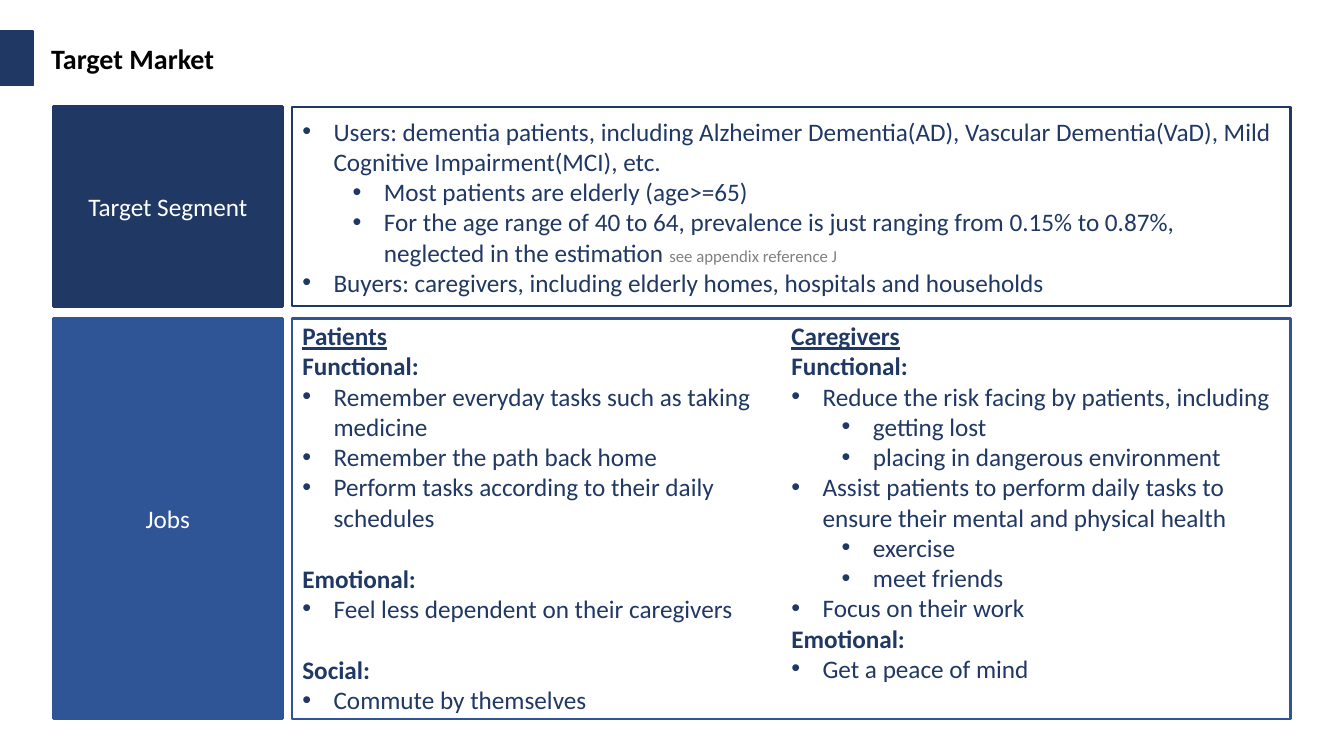
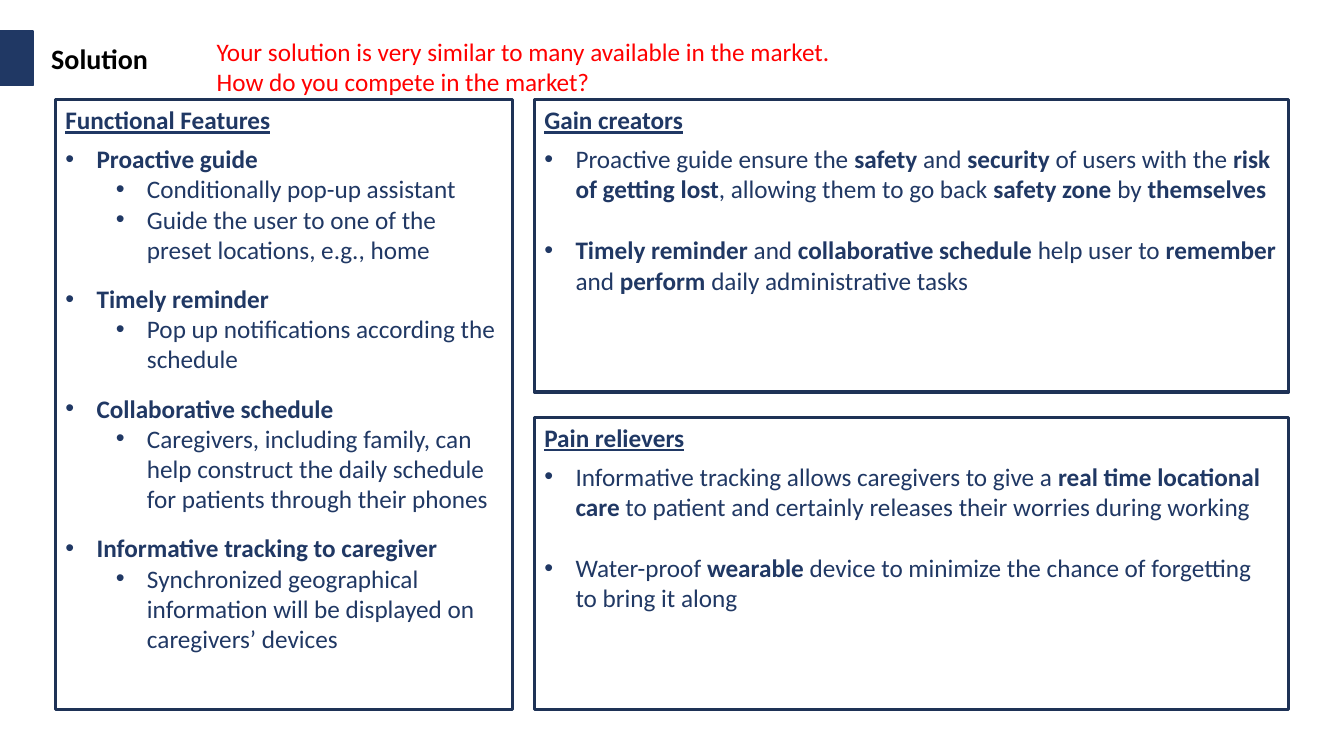
"""Builds two slides on the target market and the solution."""
from dataclasses import dataclass

from lxml import etree
from pptx import Presentation
from pptx import util as u
from pptx.dml.color import RGBColor
from pptx.enum import shapes, text
from pptx.oxml import ns


@dataclass(frozen=True)
class Theme:
    font: str = "Calibri"
    navy: str = "203864"
    blue: str = "2F5597"
    edge: str = "1E3256"
    white: str = "FFFFFF"
    black: str = "000000"
    red: str = "FF0000"
    grey: str = "808080"
    title: int = 20
    body: int = 18
    note: int = 12
    tight: float = 6
    gap: float = 13.5
    line: float = 22


TOP, MID, LOW = text.MSO_ANCHOR.TOP, text.MSO_ANCHOR.MIDDLE, text.MSO_ANCHOR.BOTTOM
HANG = 0.31
INDENT = {"dot": 0.31, "nest": 0.81}


class Deck:
    def __init__(self, theme):
        self.theme = theme
        self.show = Presentation()
        self.show.slide_width = u.Inches(13.33)
        self.show.slide_height = u.Inches(7.5)
        self.slide = None

    def page(self, title):
        self.slide = self.show.slides.add_slide(self.show.slide_layouts[6])
        self.rect((0, 0.31, 0.33, 0.54), self.theme.navy, self.theme.navy, 1)
        self.words((0.41, 0.36, 11, 0.44), title, self.theme.title, self.theme.black, True, MID)

    def rect(self, box, edge, fill=None, width=2.25):
        shape = self.slide.shapes.add_shape(shapes.MSO_SHAPE.RECTANGLE, *map(u.Inches, box))
        shape.shadow.inherit = False
        shape.line.color.rgb = RGBColor.from_string(edge)
        shape.line.width = u.Pt(width)
        if fill:
            shape.fill.solid()
            shape.fill.fore_color.rgb = RGBColor.from_string(fill)
        else:
            shape.fill.background()
        return shape

    def frame(self, box, anchor=TOP):
        frame = self.slide.shapes.add_textbox(*map(u.Inches, box)).text_frame
        frame.word_wrap = True
        frame.vertical_anchor = anchor
        return frame

    def style(self, run, size, color, bold=False, under=False):
        font = run.font
        font.name = self.theme.font
        font.size = u.Pt(size)
        font.color.rgb = RGBColor.from_string(color)
        font.bold = bold
        font.underline = under

    def words(self, box, words, size, color, bold=False, anchor=TOP):
        frame = self.frame(box, anchor)
        frame.text = words
        self.style(frame.paragraphs[0].runs[0], size, color, bold)

    def label(self, box, words, color):
        frame = self.rect(box, color, color).text_frame
        frame.vertical_anchor = MID
        frame.text = words
        para = frame.paragraphs[0]
        para.alignment = text.PP_ALIGN.CENTER
        self.style(para.runs[0], self.theme.body, self.theme.white)

    def panel(self, box, edge, items, width=2.25, anchor=TOP):
        frame = self.rect(box, edge, width=width).text_frame
        frame.word_wrap = True
        frame.vertical_anchor = anchor
        self.fill(frame, items)
        return frame

    def fill(self, frame, items):
        for pos, (kind, words, *space) in enumerate(items):
            para = frame.paragraphs[0] if pos == 0 else frame.add_paragraph()
            para.alignment = text.PP_ALIGN.LEFT
            if space:
                para.space_before = u.Pt(space[0])
            if kind in INDENT:
                self.bullet(para, kind)
            head = kind in ("head", "sub")
            for turn, part in enumerate(words.split("*")):
                if part:
                    run = para.add_run()
                    run.text = part
                    self.style(run, self.theme.body, self.theme.navy,
                               head or turn % 2 == 1, kind == "head")

    def bullet(self, para, kind):
        para.level = int(kind == "nest")
        props = para._p.get_or_add_pPr()
        props.set("marL", str(u.Inches(INDENT[kind])))
        props.set("indent", str(-u.Inches(HANG)))
        etree.SubElement(props, ns.qn("a:buFont")).set("typeface", "Arial")
        etree.SubElement(props, ns.qn("a:buChar")).set("char", "•")


def market(deck):
    look = deck.theme
    deck.page("Target Market")
    left, wide, right, span = 0.53, 2.27, 2.9, 9.9
    deck.label((left, 1.06, wide, 1.98), "Target Segment", look.navy)
    frame = deck.panel((right, 1.06, span, 1.98), look.navy, [
        ("dot", "Users: dementia patients, including Alzheimer Dementia(AD), "
                "Vascular Dementia(VaD), Mild Cognitive Impairment(MCI), etc."),
        ("nest", "Most patients are elderly (age>=65)"),
        ("nest", "For the age range of 40 to 64, prevalence is just ranging from "
                 "0.15% to 0.87%, neglected in the estimation "),
        ("dot", "Buyers: caregivers, including elderly homes, hospitals and households"),
    ], 1.5, MID)
    note = frame.paragraphs[2].add_run()
    note.text = "see appendix reference J"
    deck.style(note, look.note, look.grey)

    deck.label((left, 3.16, wide, 3.97), "Jobs", look.blue)
    deck.rect((right, 3.16, span, 3.97), look.blue, width=1.5)
    jobs = [
        [
            ("head", "Patients"),
            ("sub", "Functional:"),
            ("dot", "Remember everyday tasks such as taking medicine"),
            ("dot", "Remember the path back home"),
            ("dot", "Perform tasks according to their daily schedules"),
            ("sub", "Emotional:", look.line),
            ("dot", "Feel less dependent on their caregivers"),
            ("sub", "Social:", look.line),
            ("dot", "Commute by themselves"),
        ],
        [
            ("head", "Caregivers"),
            ("sub", "Functional:"),
            ("dot", "Reduce the risk facing by patients, including"),
            ("nest", "getting lost"),
            ("nest", "placing in dangerous environment"),
            ("dot", "Assist patients to perform daily tasks to ensure their "
                    "mental and physical health"),
            ("nest", "exercise"),
            ("nest", "meet friends"),
            ("dot", "Focus on their work"),
            ("sub", "Emotional:"),
            ("dot", "Get a peace of mind"),
        ],
    ]
    for col, items in enumerate(jobs):
        deck.fill(deck.frame((right + col * 4.85, 3.13, 5.05, 4)), items)


def answer(deck):
    look = deck.theme
    deck.page("Solution")
    deck.panel((0.55, 0.99, 4.53, 6.05), look.edge, [
        ("head", "Functional Features"),
        ("dot", "*Proactive guide*", look.tight),
        ("nest", "Conditionally pop-up assistant"),
        ("nest", "Guide the user to one of the preset locations, e.g., home"),
        ("dot", "*Timely reminder*", look.gap),
        ("nest", "Pop up notifications according the schedule"),
        ("dot", "*Collaborative schedule*", look.gap),
        ("nest", "Caregivers, including family, can help construct the daily "
                 "schedule for patients through their phones"),
        ("dot", "*Informative tracking to caregiver*", look.gap),
        ("nest", "Synchronized geographical information will be displayed on "
                 "caregivers’ devices"),
    ])
    gains = [
        ("head", "Gain creators"),
        ("dot", "Proactive guide ensure the *safety* and *security* of users with the "
                "*risk of getting lost*, allowing them to go back *safety zone *by "
                "*themselves*", look.tight),
        ("dot", "*Timely reminder* and *collaborative schedule *help user to *remember* "
                "and *perform* daily administrative tasks", look.line),
    ]
    pains = [
        ("head", "Pain relievers"),
        ("dot", "Informative tracking allows caregivers to give a *real time locational "
                "care* to patient and certainly releases their worries during working",
         look.tight),
        ("dot", "Water-proof *wearable *device to minimize the chance of forgetting to "
                "bring it along", look.line),
    ]
    for row, items in enumerate((gains, pains)):
        deck.panel((5.3, 0.99 + row * 3.15, 7.48, 2.9), look.edge, items)
    deck.words((2.05, 0.31, 6.45, 0.71),
               "Your solution is very similar to many available in the market. "
               "How do you compete in the market?", look.body, look.red)


def main():
    deck = Deck(Theme())
    market(deck)
    answer(deck)
    deck.show.save("out.pptx")


if __name__ == "__main__":
    main()
